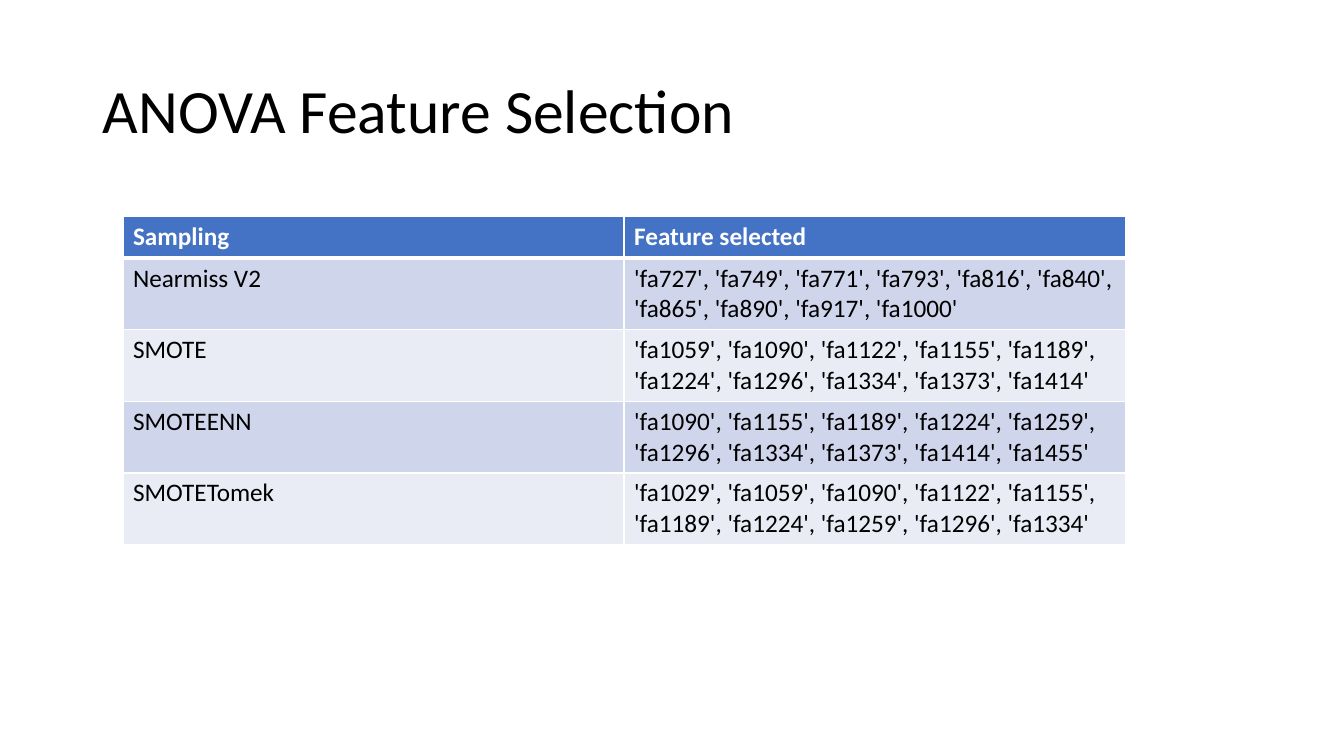
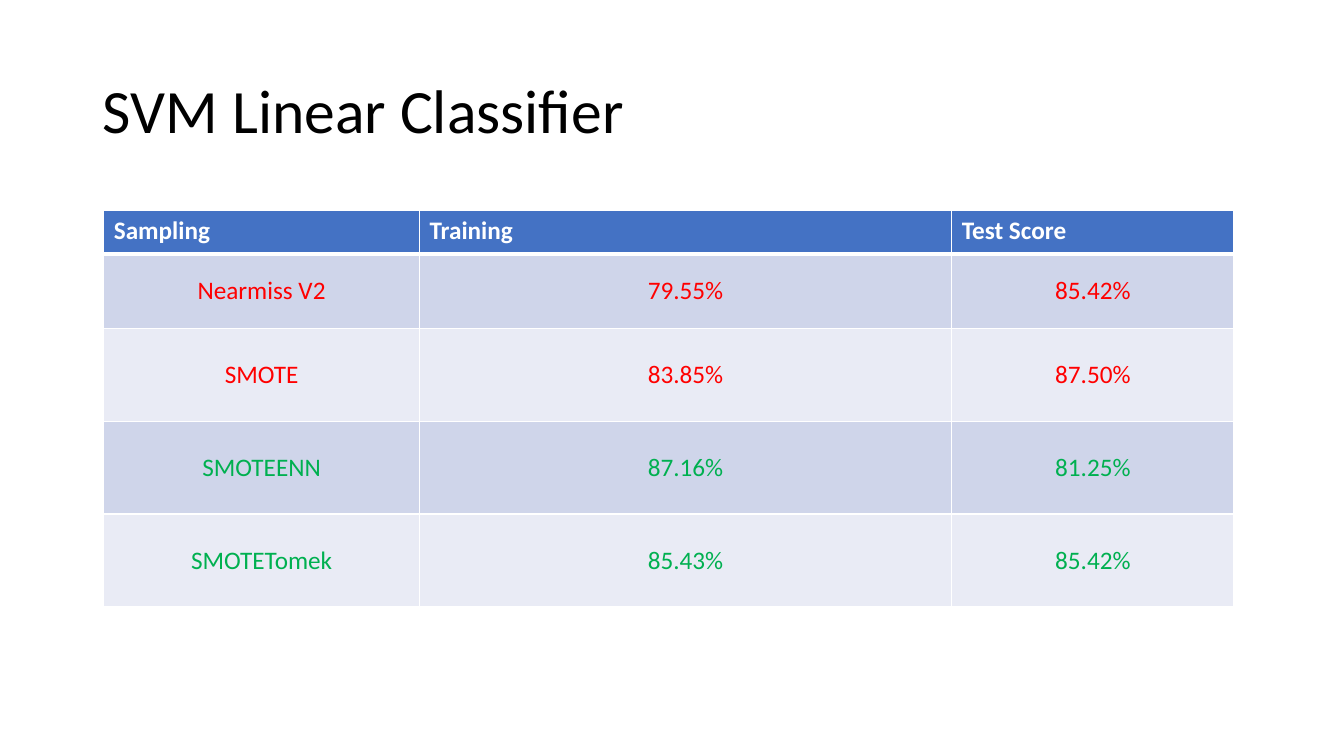
from dataclasses import dataclass

from lxml.etree import SubElement
from pptx import Presentation
from pptx.dml.color import RGBColor
from pptx.enum.text import MSO_ANCHOR, PP_ALIGN
from pptx.oxml.ns import qn
from pptx.util import Inches, Pt


@dataclass(frozen=True)
class Theme:
    font: str = "Calibri"
    title_size: int = 44
    body_size: int = 18
    black: str = "000000"
    white: str = "FFFFFF"
    header: str = "4472C4"
    bands: tuple = ("CFD5EA", "E9EBF5")
    red: str = "FF0000"
    green: str = "00B050"
    thin: float = 1
    thick: float = 3


theme = Theme()

prs = Presentation()
prs.slide_width = Inches(13.33)
prs.slide_height = Inches(7.5)
title_only = prs.slide_layouts[5]


def style_text(tf, size, color, align, anchor, bold=False):
    tf.vertical_anchor = anchor
    p = tf.paragraphs[0]
    p.alignment = align
    r = p.runs[0]
    r.font.name = theme.font
    r.font.size = Pt(size)
    r.font.bold = bold
    r.font.color.rgb = RGBColor.from_string(color)


def add_borders(cell, top, bottom):
    tc_pr = cell._tc.get_or_add_tcPr()
    widths = {"lnL": theme.thin, "lnR": theme.thin, "lnT": top, "lnB": bottom}
    for side, width in widths.items():
        ln = SubElement(tc_pr, qn(f"a:{side}"), w=str(Pt(width)))
        fill = SubElement(ln, qn("a:solidFill"))
        SubElement(fill, qn("a:srgbClr"), val=theme.white)


slides = [
    {
        "title": "ANOVA Feature Selection",
        "left": 1.22,
        "top": 2.15,
        "widths": [4.97, 4.97],
        "heights": [0.41, 0.7, 0.7, 0.7, 0.7],
        "align": PP_ALIGN.LEFT,
        "anchor": MSO_ANCHOR.TOP,
        "colors": [theme.black] * 4,
        "rows": [
            ["Sampling", "Feature selected"],
            ["Nearmiss V2", "'fa727', 'fa749', 'fa771', 'fa793', 'fa816', "
             "'fa840', 'fa865', 'fa890', 'fa917', 'fa1000'"],
            ["SMOTE", "'fa1059', 'fa1090', 'fa1122', 'fa1155', 'fa1189', "
             "'fa1224', 'fa1296', 'fa1334', 'fa1373', 'fa1414'"],
            ["SMOTEENN", "'fa1090', 'fa1155', 'fa1189', 'fa1224', 'fa1259', "
             "'fa1296', 'fa1334', 'fa1373', 'fa1414', 'fa1455'"],
            ["SMOTETomek", "'fa1029', 'fa1059', 'fa1090', 'fa1122', 'fa1155', "
             "'fa1189', 'fa1224', 'fa1259', 'fa1296', 'fa1334'"],
        ],
    },
    {
        "title": "SVM Linear Classifier",
        "left": 1.03,
        "top": 2.09,
        "widths": [3.13, 5.28, 2.8],
        "heights": [0.43, 0.74, 0.92, 0.92, 0.92],
        "align": PP_ALIGN.CENTER,
        "anchor": MSO_ANCHOR.MIDDLE,
        "colors": [theme.red, theme.red, theme.green, theme.green],
        "rows": [
            ["Sampling", "Training", "Test Score"],
            ["Nearmiss V2", "79.55%", "85.42%"],
            ["SMOTE", "83.85%", "87.50%"],
            ["SMOTEENN", "87.16%", "81.25%"],
            ["SMOTETomek", "85.43%", "85.42%"],
        ],
    },
]

for content in slides:
    s = prs.slides.add_slide(title_only)
    title = s.shapes.title
    title.left, title.top = Inches(0.92), Inches(0.4)
    title.width, title.height = Inches(11.5), Inches(1.45)
    title.text_frame.text = content["title"]
    title.text_frame.paragraphs[0].line_spacing = 0.9
    style_text(title.text_frame, theme.title_size, theme.black,
               PP_ALIGN.LEFT, MSO_ANCHOR.MIDDLE)

    rows, widths, heights = content["rows"], content["widths"], content["heights"]
    table = s.shapes.add_table(
        len(rows), len(widths), Inches(content["left"]), Inches(content["top"]),
        Inches(sum(widths)), Inches(sum(heights))).table
    for column, width in zip(table.columns, widths):
        column.width = Inches(width)
    for row, height in zip(table.rows, heights):
        row.height = Inches(height)

    for i, values in enumerate(rows):
        is_header = i == 0
        fill = theme.header if is_header else theme.bands[(i - 1) % 2]
        color = theme.white if is_header else content["colors"][i - 1]
        align = PP_ALIGN.LEFT if is_header else content["align"]
        anchor = MSO_ANCHOR.TOP if is_header else content["anchor"]
        top = theme.thick if i == 1 else theme.thin
        bottom = theme.thick if is_header else theme.thin
        for j, value in enumerate(values):
            cell = table.cell(i, j)
            add_borders(cell, top, bottom)
            cell.fill.solid()
            cell.fill.fore_color.rgb = RGBColor.from_string(fill)
            cell.text_frame.text = value
            style_text(cell.text_frame, theme.body_size, color, align, anchor,
                       bold=is_header)
            cell.vertical_anchor = anchor

prs.save("out.pptx")
